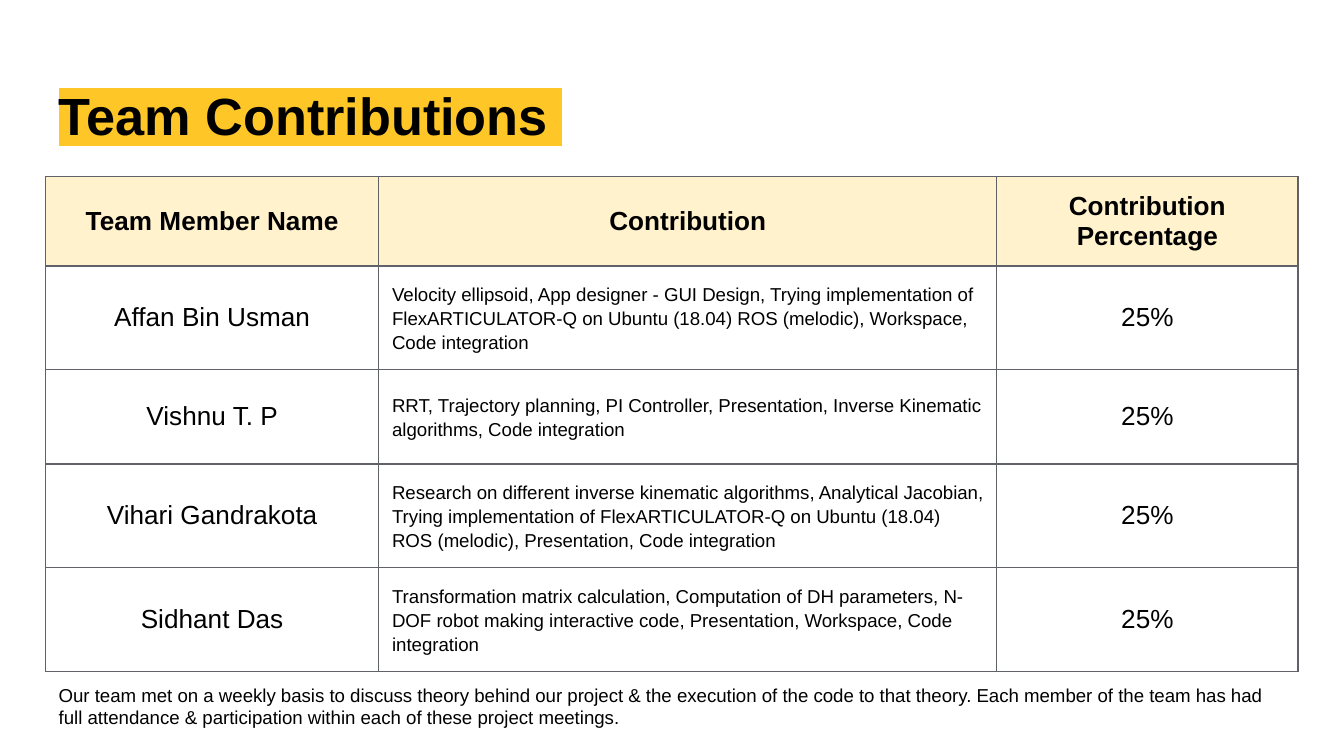
from dataclasses import dataclass

from lxml import etree
from pptx import Presentation
from pptx.dml.color import RGBColor
from pptx.enum.text import MSO_ANCHOR, PP_ALIGN
from pptx.oxml.ns import qn
from pptx.util import Cm, Pt

LEFT, CENTER = PP_ALIGN.LEFT, PP_ALIGN.CENTER
TOP, MIDDLE = MSO_ANCHOR.TOP, MSO_ANCHOR.MIDDLE


@dataclass(frozen=True)
class Theme:
    font: str = "Arial"
    ink: str = "000000"
    highlight: str = "FFC627"
    header: str = "FFF2CC"
    border: str = "5F6368"
    title: int = 28
    label: int = 14
    body: int = 10
    border_width: float = 0.75
    inset: float = 0.25


THEME = Theme()

HEADERS = ["Team Member Name", "Contribution", "Contribution Percentage"]
MEMBERS = [
    ("Affan Bin Usman",
     "Velocity ellipsoid, App designer - GUI Design, Trying implementation of "
     "FlexARTICULATOR-Q on Ubuntu (18.04) ROS (melodic), Workspace, Code integration"),
    ("Vishnu T. P",
     "RRT, Trajectory planning, PI Controller, Presentation, Inverse Kinematic "
     "algorithms, Code integration"),
    ("Vihari Gandrakota",
     "Research on different inverse kinematic algorithms, Analytical Jacobian, "
     "Trying implementation of FlexARTICULATOR-Q on Ubuntu (18.04) ROS (melodic), "
     "Presentation, Code integration"),
    ("Sidhant Das",
     "Transformation matrix calculation, Computation of DH parameters, N-DOF robot "
     "making interactive code, Presentation, Workspace, Code integration"),
]
SHARE = f"{100 // len(MEMBERS)}%"
NOTE = ("Our team met on a weekly basis to discuss theory behind our project & the "
        "execution of the code to that theory. Each member of the team has had full "
        "attendance & participation within each of these project meetings.")

COL_WIDTHS = [6.3, 11.68, 5.69]
ROW_HEIGHTS = [1.68, 1.88, 1.78, 1.88, 1.88]


def write(tf, text, size, bold=False, align=LEFT, spacing=None):
    """Fill the first paragraph of a text frame and return its run."""
    tf.word_wrap = True
    p = tf.paragraphs[0]
    p.alignment = align
    if spacing:
        p.line_spacing = spacing
    p.font.name = THEME.font
    p.font.size = Pt(size)
    p.font.bold = bold
    p.font.color.rgb = RGBColor.from_string(THEME.ink)
    r = p.add_run()
    r.text = text
    return r


def set_margins(target):
    target.margin_left = target.margin_right = Cm(THEME.inset)
    target.margin_top = target.margin_bottom = Cm(THEME.inset)


def add_text(slide, box, text, size, bold=False):
    tf = slide.shapes.add_textbox(*map(Cm, box)).text_frame
    tf.vertical_anchor = TOP
    set_margins(tf)
    return tf, write(tf, text, size, bold)


def add_title(slide, box):
    # The highlight runs on past the last letter
    tf, r = add_text(slide, box, "Team Contributions ", THEME.title, bold=True)
    tf.margin_top = Cm(0.33)
    mark = etree.SubElement(r.font._element, qn("a:highlight"))
    etree.SubElement(mark, qn("a:srgbClr"), val=THEME.highlight)


def set_borders(cell):
    tc_pr = cell._tc.get_or_add_tcPr()
    for i, side in enumerate(("lnL", "lnR", "lnT", "lnB")):
        ln = etree.Element(qn(f"a:{side}"), w=str(Pt(THEME.border_width)))
        fill = etree.SubElement(ln, qn("a:solidFill"))
        etree.SubElement(fill, qn("a:srgbClr"), val=THEME.border)
        tc_pr.insert(i, ln)


def add_contributions(slide, box):
    rows = [HEADERS] + [(name, work, SHARE) for name, work in MEMBERS]
    table = slide.shapes.add_table(len(rows), len(HEADERS), *map(Cm, box)).table
    table.first_row = table.horz_banding = False
    for col, width in zip(table.columns, COL_WIDTHS):
        col.width = Cm(width)
    for row, height in zip(table.rows, ROW_HEIGHTS):
        row.height = Cm(height)

    for i, values in enumerate(rows):
        for j, text in enumerate(values):
            cell = table.cell(i, j)
            cell.vertical_anchor = MIDDLE
            set_margins(cell)
            if i == 0:
                cell.fill.solid()
                cell.fill.fore_color.rgb = RGBColor.from_string(THEME.header)
            else:
                cell.fill.background()
            set_borders(cell)
            if i > 0 and j == 1:
                write(cell.text_frame, text, THEME.body, spacing=1.15)
            else:
                write(cell.text_frame, text, THEME.label, bold=i == 0, align=CENTER)


def add_note(slide, box):
    add_text(slide, box, NOTE, THEME.body)


def main():
    prs = Presentation()
    prs.slide_width, prs.slide_height = Cm(25.4), Cm(14.29)
    slide = prs.slides.add_slide(prs.slide_layouts[6])

    left, width = 0.86, sum(COL_WIDTHS)
    add_title(slide, (left, 1.24, width, 1.6))
    add_contributions(slide, (left, 3.34, width, sum(ROW_HEIGHTS)))
    add_note(slide, (left, 12.67, width, 1.37))

    prs.save("out.pptx")


if __name__ == "__main__":
    main()
